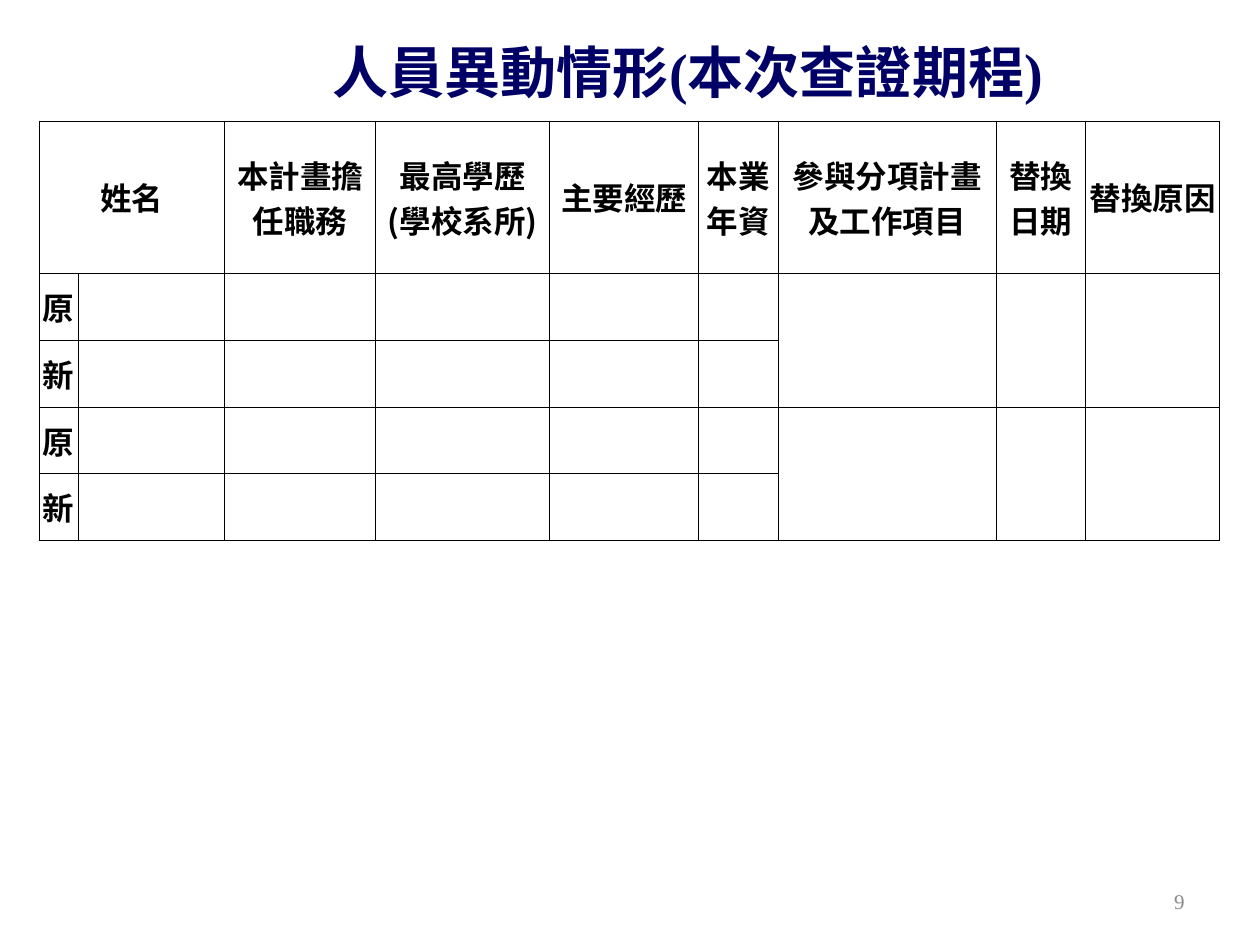
from lxml.etree import SubElement
from pptx import Presentation
from pptx.dml.color import RGBColor
from pptx.enum.text import MSO_ANCHOR, PP_ALIGN
from pptx.oxml.ns import qn
from pptx.util import Inches, Pt

BLACK = RGBColor(0x00, 0x00, 0x00)
WHITE = RGBColor(0xFF, 0xFF, 0xFF)
NAVY = RGBColor(0x00, 0x00, 0x66)
GRAY = RGBColor(0x89, 0x89, 0x89)
SANS = "Noto Sans CJK SC"
SERIF = "Times New Roman"

COLUMN_WIDTHS = [0.31, 1.16, 1.2, 1.38, 1.18, 0.63, 1.73, 0.71, 1.06]
ROW_HEIGHTS = [1.21] + [0.53] * 4
HEADERS = ["姓名", "", "本計畫擔任職務", "最高學歷\n(學校系所)", "主要經歷",
           "本業年資", "參與分項計畫及工作項目", "替換日期", "替換原因"]
ROW_LABELS = ["原", "新"] * 2
SHARED_COLUMNS = [6, 7, 8]


def write_text(frame, text, size, color, font=SANS, bold=False,
               align=PP_ALIGN.CENTER):
    frame.word_wrap = True
    frame.vertical_anchor = MSO_ANCHOR.MIDDLE
    for index, line in enumerate(text.split("\n")):
        para = frame.paragraphs[0] if index == 0 else frame.add_paragraph()
        para.alignment = align
        span = para.add_run()
        span.text = line
        span.font.name = font
        span.font.size = Pt(size)
        span.font.bold = bold
        span.font.color.rgb = color
        SubElement(span.font._element, qn("a:ea"), typeface=SANS)


def style_cell(cell):
    cell.margin_left = cell.margin_right = Inches(0.02)
    cell.margin_top = cell.margin_bottom = Inches(0.05)
    cell.vertical_anchor = MSO_ANCHOR.MIDDLE
    properties = cell._tc.get_or_add_tcPr()
    for side in ("a:lnL", "a:lnR", "a:lnT", "a:lnB"):
        line = SubElement(properties, qn(side), w=str(Pt(0.45)))
        fill = SubElement(line, qn("a:solidFill"))
        SubElement(fill, qn("a:srgbClr"), val=str(BLACK))
    cell.fill.solid()
    cell.fill.fore_color.rgb = WHITE


def place_title(page, left, top, width, height):
    title = page.shapes.title
    title.left, title.top = Inches(left), Inches(top)
    title.width, title.height = Inches(width), Inches(height)
    write_text(title.text_frame, "人員異動情形(本次查證期程)", 32, NAVY,
               font=SERIF, bold=True)


def place_staff_table(page, left, top, width, height):
    table = page.shapes.add_table(
        len(ROW_HEIGHTS), len(COLUMN_WIDTHS), Inches(left), Inches(top),
        Inches(width), Inches(height)).table
    for column, share in zip(table.columns, COLUMN_WIDTHS):
        column.width = Inches(width * share / sum(COLUMN_WIDTHS))
    for row, share in zip(table.rows, ROW_HEIGHTS):
        row.height = Inches(height * share / sum(ROW_HEIGHTS))
    for cell in table.iter_cells():
        style_cell(cell)

    table.cell(0, 0).merge(table.cell(0, 1))
    for first in (1, 3):
        for column in SHARED_COLUMNS:
            table.cell(first, column).merge(table.cell(first + 1, column))

    labels = {(0, column): text for column, text in enumerate(HEADERS) if text}
    labels.update({(row, 0): text for row, text in enumerate(ROW_LABELS, 1)})
    for (row, column), text in labels.items():
        write_text(table.cell(row, column).text_frame, text, 18, BLACK,
                   bold=True)


def place_page_number(page, left, top, width, height):
    box = page.shapes.add_textbox(Inches(left), Inches(top), Inches(width),
                                  Inches(height))
    write_text(box.text_frame, "9", 12, GRAY, font=SERIF,
               align=PP_ALIGN.RIGHT)


def main():
    deck = Presentation()
    deck.slide_width, deck.slide_height = Inches(10), Inches(7.5)
    page = deck.slides.add_slide(deck.slide_layouts[5])
    place_staff_table(page, 0.31, 0.96, 9.37, 3.33)
    place_page_number(page, 7.17, 6.95, 2.33, 0.4)
    place_title(page, 0.96, 0.17, 9, 0.79)
    deck.save("out.pptx")


if __name__ == "__main__":
    main()
